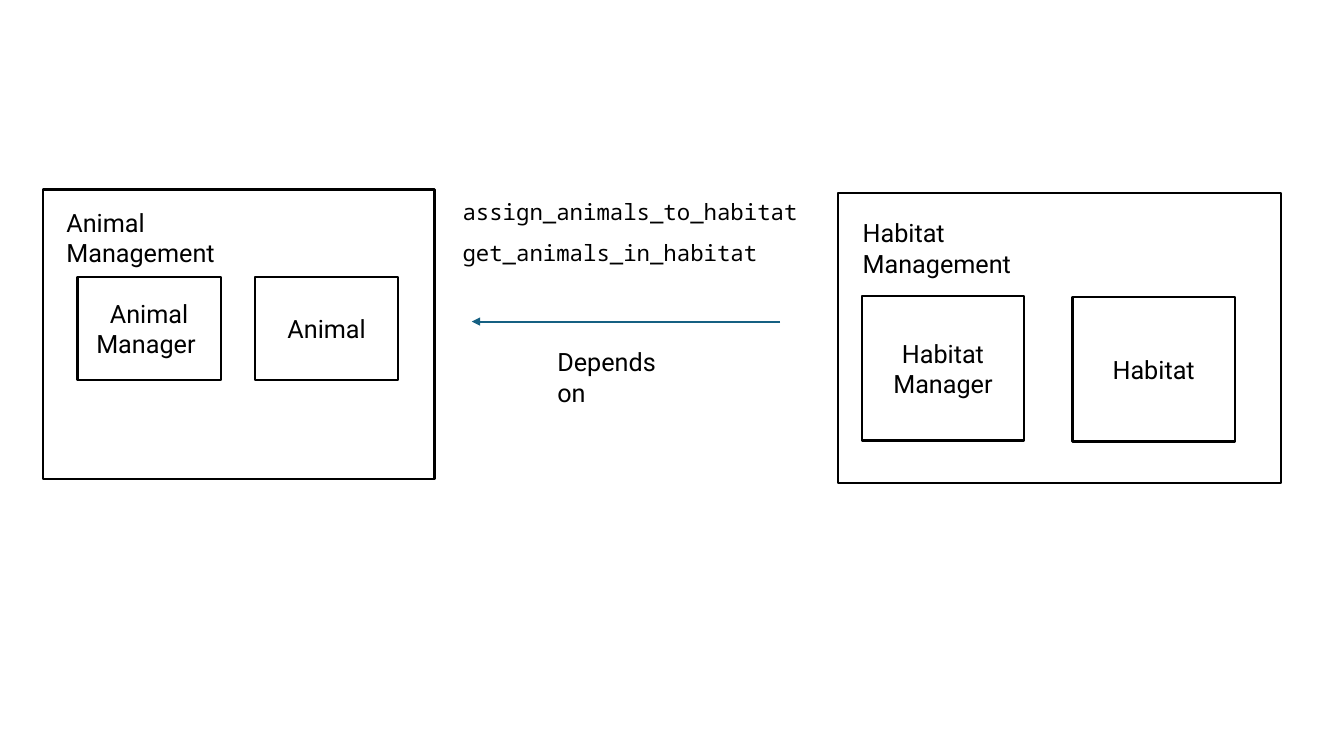
from lxml import etree
from pptx import Presentation
from pptx import util as u
from pptx.dml import color
from pptx.enum import shapes, text
from pptx.oxml import ns

COLORS = {"ink": "000000", "arrow": "156082"}


def write(frame, content, font="Roboto", size=18, align=text.PP_ALIGN.LEFT,
          anchor=text.MSO_ANCHOR.TOP):
    frame.word_wrap = True
    frame.vertical_anchor = anchor
    paragraph = frame.paragraphs[0]
    paragraph.alignment = align
    run = paragraph.add_run()
    run.text = content
    run.font.name = font
    run.font.size = u.Pt(size)
    run.font.color.rgb = color.RGBColor.from_string(COLORS["ink"])


class Diagram:
    line_width = 1.5

    def __init__(self, slide):
        self.slide = slide

    def outline(self, line, name):
        line.color.rgb = color.RGBColor.from_string(COLORS[name])
        line.width = u.Pt(self.line_width)

    def box(self, parent, bounds, content=None):
        shape = parent.add_shape(shapes.MSO_SHAPE.RECTANGLE, *map(u.Pt, bounds))
        shape.shadow.inherit = False
        shape.fill.background()
        self.outline(shape.line, "ink")
        if content:
            write(shape.text_frame, content, align=text.PP_ALIGN.CENTER,
                  anchor=text.MSO_ANCHOR.MIDDLE)

    def label(self, parent, bounds, content, **style):
        shape = parent.add_textbox(*map(u.Pt, bounds))
        write(shape.text_frame, content, **style)
        shape.text_frame.auto_size = text.MSO_AUTO_SIZE.SHAPE_TO_FIT_TEXT

    def arrow(self, start, end):
        connector = self.slide.shapes.add_connector(
            shapes.MSO_CONNECTOR.STRAIGHT, *map(u.Pt, start + end))
        self.outline(connector.line, "arrow")
        line = connector.line._get_or_add_ln()
        etree.SubElement(line, ns.qn("a:tailEnd"), type="triangle")
        etree.SubElement(connector._element.spPr, ns.qn("a:effectLst"))

    def module(self, frame, title, title_bounds, classes):
        group = self.slide.shapes.add_group_shape().shapes
        self.box(group, frame)
        self.label(group, title_bounds, title)
        for name, bounds in classes.items():
            self.box(group, bounds, name)


def main():
    presentation = Presentation()
    presentation.slide_width, presentation.slide_height = u.Pt(960), u.Pt(540)
    slide = presentation.slides.add_slide(presentation.slide_layouts[6])
    diagram = Diagram(slide)

    diagram.arrow((557.3, 229.7), (337, 229.7))
    for row, method in enumerate(("assign_animals_to_habitat", "get_animals_in_habitat")):
        diagram.label(slide.shapes, (323.3, 138.2 + 29 * row, 480, 26.6), method,
                      font="Noto Sans Mono", size=16)

    diagram.module((31, 135.4, 279.4, 206.6), "Animal Management", (40.3, 144.7, 176, 29), {
        "Animal Manager ": (55.4, 198, 102.2, 73.4),
        "Animal": (182.2, 198, 102.2, 73.4),
    })
    diagram.module((598.3, 138.2, 316.8, 206.6), "Habitat Management", (609.1, 151.9, 180, 29), {
        "Habitat Manager": (615.6, 211.7, 115.9, 103),
        "Habitat": (766.1, 212.4, 115.9, 103),
    })
    diagram.label(slide.shapes, (391, 244.1, 106, 29), "Depends on")

    presentation.save("out.pptx")


if __name__ == "__main__":
    main()
